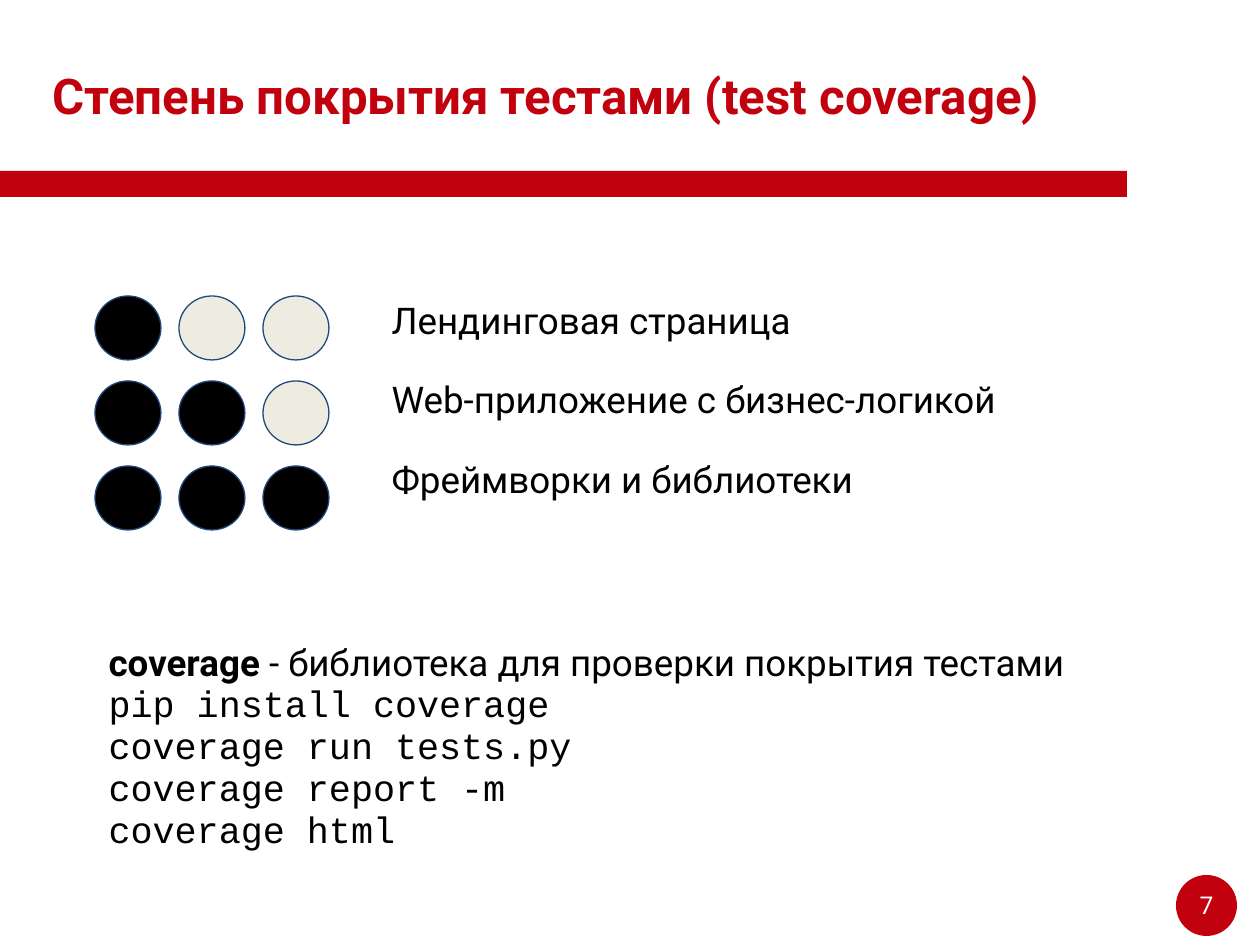
"""Build a slide on test coverage levels and the coverage library."""
from dataclasses import dataclass

import pptx
import pptx.dml.color
import pptx.enum.shapes
import pptx.enum.text
import pptx.oxml
import pptx.oxml.ns
import pptx.util

EMU_PER_PX = 914400 / 126


@dataclass(frozen=True)
class Theme:
    accent: str = "C1010D"
    ink: str = "000000"
    paper: str = "FFFFFF"
    empty: str = "EEECE1"
    outline: str = "1F497D"
    sans: str = "Roboto"
    mono: str = "Courier New"
    title_size: float = 28.1
    body_size: float = 21
    number_size: float = 14
    outline_width: float = 0.75


@dataclass(frozen=True)
class Box:
    left: int
    top: int
    width: int
    height: int


@dataclass(frozen=True)
class Level:
    label: str
    filled: int


THEME = Theme()
LEVELS = (
    Level("Лендинговая страница", 1),
    Level("Web-приложение с бизнес-логикой", 2),
    Level("Фреймворки и библиотеки", 3),
)
COMMANDS = (
    "pip install coverage",
    "coverage run tests.py",
    "coverage report -m",
    "coverage html",
)
DOTS_PER_LEVEL = 3
FIRST_DOT = Box(95, 296, 66, 64)
DOT_PITCH_X, DOT_PITCH_Y = 84, 85


def px(length: int) -> int:
    return round(length * EMU_PER_PX)


def rgb(color: str) -> pptx.dml.color.RGBColor:
    return pptx.dml.color.RGBColor.from_string(color)


def place(shape, box: Box) -> None:
    shape.left, shape.top = px(box.left), px(box.top)
    shape.width, shape.height = px(box.width), px(box.height)


def draw_shape(slide, kind, box: Box, fill: str, outline: str | None = None):
    shape = slide.shapes.add_shape(kind, 0, 0, 0, 0)
    place(shape, box)
    shape.shadow.inherit = False
    shape.fill.solid()
    shape.fill.fore_color.rgb = rgb(fill)
    if outline:
        shape.line.color.rgb = rgb(outline)
        shape.line.width = pptx.util.Pt(THEME.outline_width)
    else:
        shape.line.fill.background()
    return shape


def set_font(font, name: str, size: float, color: str, bold: bool | None = None) -> None:
    font.name, font.size, font.bold = name, pptx.util.Pt(size), bold
    font.color.rgb = rgb(color)


def prepare_frame(shape, box: Box, anchor):
    place(shape, box)
    frame = shape.text_frame
    frame.word_wrap = True
    frame.auto_size = pptx.enum.text.MSO_AUTO_SIZE.NONE
    frame.vertical_anchor = anchor
    return frame


def fill_body(placeholder, box: Box, lines: tuple[str, ...], font: str, gap: float):
    frame = prepare_frame(placeholder, box, pptx.enum.text.MSO_ANCHOR.TOP)
    frame.text = "\n".join(lines)
    for index, paragraph in enumerate(frame.paragraphs):
        paragraph.line_spacing = 0.9
        paragraph.space_before = pptx.util.Pt(gap if index else 0)
        set_font(paragraph.font, font, THEME.body_size, THEME.ink)
        properties = paragraph._p.get_or_add_pPr()
        properties.set("marL", "0")
        properties.set("indent", "0")
        no_bullet = pptx.oxml.parse_xml(f"<a:buNone {pptx.oxml.ns.nsdecls('a')}/>")
        properties.insert_element_before(no_bullet, "a:tabLst", "a:defRPr", "a:extLst")
    return frame


def draw_levels(slide) -> None:
    oval = pptx.enum.shapes.MSO_SHAPE.OVAL
    for row, level in enumerate(LEVELS):
        for column in range(DOTS_PER_LEVEL):
            dot = Box(
                FIRST_DOT.left + column * DOT_PITCH_X,
                FIRST_DOT.top + row * DOT_PITCH_Y,
                FIRST_DOT.width,
                FIRST_DOT.height,
            )
            color = THEME.ink if column < level.filled else THEME.empty
            draw_shape(slide, oval, dot, color, THEME.outline)


def draw_page_number(slide, number: int) -> None:
    oval = pptx.enum.shapes.MSO_SHAPE.OVAL
    draw_shape(slide, oval, Box(1176, 875, 61, 61), THEME.accent)
    page = slide.shapes.add_textbox(0, 0, 0, 0)
    frame = prepare_frame(page, Box(1180, 880, 53, 50), pptx.enum.text.MSO_ANCHOR.MIDDLE)
    frame.text = str(number)
    paragraph = frame.paragraphs[0]
    paragraph.alignment = pptx.enum.text.PP_ALIGN.CENTER
    set_font(paragraph.font, THEME.sans, THEME.number_size, THEME.paper)


def draw_title(title) -> None:
    frame = prepare_frame(title, Box(40, 35, 1101, 120), pptx.enum.text.MSO_ANCHOR.MIDDLE)
    frame.text = "Степень покрытия тестами (test coverage)"
    paragraph = frame.paragraphs[0]
    paragraph.alignment = pptx.enum.text.PP_ALIGN.LEFT
    set_font(paragraph.font, THEME.sans, THEME.title_size, THEME.accent, True)


def draw_library(placeholder) -> None:
    lines = (" - библиотека для проверки покрытия тестами", *COMMANDS)
    frame = fill_body(placeholder, Box(96, 638, 1068, 282), lines, THEME.mono, 1.2)
    intro = frame.paragraphs[0]
    intro.font.name = THEME.sans
    description = intro.runs[0].text
    intro.runs[0].text = "coverage"
    intro.runs[0].font.bold = True
    intro.add_run().text = description


def main() -> None:
    deck = pptx.Presentation()
    deck.slide_width, deck.slide_height = px(1260), px(945)
    slide = deck.slides.add_slide(deck.slide_layouts.get_by_name("Two Content"))
    title, labels, library = slide.placeholders
    rectangle = pptx.enum.shapes.MSO_SHAPE.RECTANGLE
    draw_shape(slide, rectangle, Box(-8, 171, 1135, 26), THEME.accent)
    draw_title(title)
    level_names = tuple(level.label for level in LEVELS)
    fill_body(labels, Box(379, 296, 741, 634), level_names, THEME.sans, 23)
    draw_levels(slide)
    draw_library(library)
    draw_page_number(slide, 7)
    deck.save("out.pptx")


if __name__ == "__main__":
    main()
